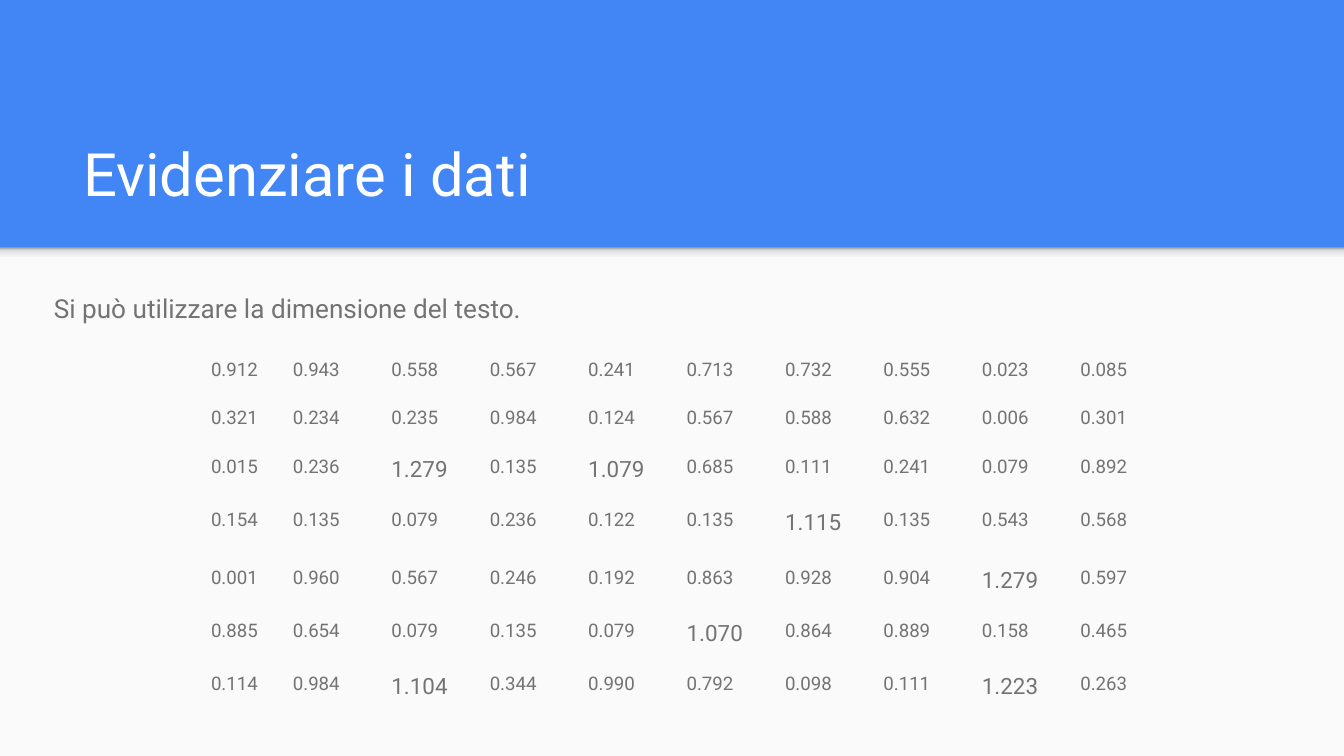
from copy import deepcopy

from pptx import Presentation
from pptx.dml.color import RGBColor as RGB
from pptx.enum.shapes import MSO_SHAPE as SHAPE
from pptx.enum.text import MSO_ANCHOR as ANCHOR, MSO_AUTO_SIZE as AUTO, PP_ALIGN as ALIGN
from pptx.oxml.ns import qn
from pptx.util import Inches, Pt

W = 10
H = W * 9 / 16
MARGIN = Inches(0.1)
FONT = "Roboto"
NO_STYLE = "{2D5ABB26-0587-4C30-8999-92F81FD0307C}"
COLORS = {"band": "4285F4", "panel": "FAFAFA", "title": "FFFFFF", "text": "737373"}
SHADOW_STOPS = [(0, "F9F9F9"), (0.36, "F9F9F9"), (0.8, "DEDEDE"), (1, "999999")]

VALUES = """
0.912 0.943 0.558 0.567 0.241 0.713 0.732 0.555 0.023 0.085
0.321 0.234 0.235 0.984 0.124 0.567 0.588 0.632 0.006 0.301
0.015 0.236 1.279 0.135 1.079 0.685 0.111 0.241 0.079 0.892
0.154 0.135 0.079 0.236 0.122 0.135 1.115 0.135 0.543 0.568
0.001 0.960 0.567 0.246 0.192 0.863 0.928 0.904 1.279 0.597
0.885 0.654 0.079 0.135 0.079 1.070 0.864 0.889 0.158 0.465
0.114 0.984 1.104 0.344 0.990 0.792 0.098 0.111 1.223 0.263
"""


def inches(*lengths):
    return [Inches(n) for n in lengths]


def write(tf, text, size, color="text", spacing=1.0):
    """Put one left-aligned, formatted paragraph into a text frame."""
    p = tf.paragraphs[0]
    pPr = p._p.get_or_add_pPr()
    pPr.set("marL", "0")
    pPr.set("indent", "0")
    pPr.append(pPr.makeelement(qn("a:buNone"), {}))
    p.alignment = ALIGN.LEFT
    p.line_spacing = spacing
    p.space_before = p.space_after = Pt(0)
    r = p.add_run()
    r.text = text
    r.font.name, r.font.size = FONT, Pt(size)
    r.font.color.rgb = RGB.from_string(COLORS[color])


def add_rect(s, box):
    sp = s.shapes.add_shape(SHAPE.RECTANGLE, *inches(*box))
    sp.shadow.inherit = False
    sp.line.fill.background()
    return sp


def add_panel(s, box):
    """Light content panel with a soft shadow along its top edge."""
    x, y, w, h = box
    panel = add_rect(s, box)
    panel.fill.solid()
    panel.fill.fore_color.rgb = RGB.from_string(COLORS["panel"])

    edge = add_rect(s, (x, y, w, 0.12))
    edge.fill.gradient()
    edge.fill.gradient_angle = 90
    stops = next(edge._element.iter(qn("a:gsLst")))
    while len(stops) < len(SHADOW_STOPS):
        stops.append(deepcopy(stops[0]))
    for stop, (position, color) in zip(edge.fill.gradient_stops, SHADOW_STOPS):
        stop.position = position
        stop.color.rgb = RGB.from_string(color)


def fill_placeholder(s, ph, box, text, anchor, **fmt):
    """Place a template placeholder in front of the shapes drawn so far."""
    s.shapes._spTree.append(ph._element)
    ph.left, ph.top, ph.width, ph.height = inches(*box)
    tf = ph.text_frame
    tf.word_wrap, tf.auto_size, tf.vertical_anchor = True, AUTO.NONE, anchor
    tf.margin_left = tf.margin_right = tf.margin_top = tf.margin_bottom = MARGIN
    write(tf, text, **fmt)


def add_values(s, box):
    """Number grid; values of one and above are set larger."""
    rows = [line.split() for line in VALUES.strip().splitlines()]
    n_cols = len(rows[0])
    table = s.shapes.add_table(len(rows), n_cols, *inches(*box)).table
    table.first_row = table.horz_banding = False
    table._tbl.tblPr.find(qn("a:tableStyleId")).text = NO_STYLE

    # Outer columns are narrower, the middle row is taller
    outer, tall = 0.61, 0.43
    inner = (box[2] - 2 * outer) / (n_cols - 2)
    low = (box[3] - tall) / (len(rows) - 1)
    for i, col in enumerate(table.columns):
        col.width = Inches(outer if i in (0, n_cols - 1) else inner)
    for i, row in enumerate(table.rows):
        row.height = Inches(tall if i == len(rows) // 2 else low)
        for cell, value in zip(row.cells, rows[i]):
            cell.fill.background()
            cell.margin_left = cell.margin_right = MARGIN
            cell.margin_top = cell.margin_bottom = MARGIN
            write(cell.text_frame, value, size=12 if float(value) >= 1 else 10)


def main():
    prs = Presentation()
    prs.slide_width, prs.slide_height = inches(W, H)
    s = prs.slides.add_slide(prs.slide_layouts[1])
    s.background.fill.solid()
    s.background.fill.fore_color.rgb = RGB.from_string(COLORS["band"])
    title, body = s.shapes.title, s.placeholders[1]

    band = 1.84
    add_panel(s, (0, band, W, H - band))
    fill_placeholder(s, body, (0.3, band + 0.2, 9.14, 0.46),
                     "Si può utilizzare la dimensione del testo.",
                     ANCHOR.TOP, size=14, spacing=1.15)
    fill_placeholder(s, title, (0.52, 0.81, 8.99, 0.84), "Evidenziare i dati",
                     ANCHOR.BOTTOM, size=32, color="title")
    add_values(s, (1.47, 2.57, 7.08, 2.29))
    prs.save("out.pptx")


if __name__ == "__main__":
    main()
